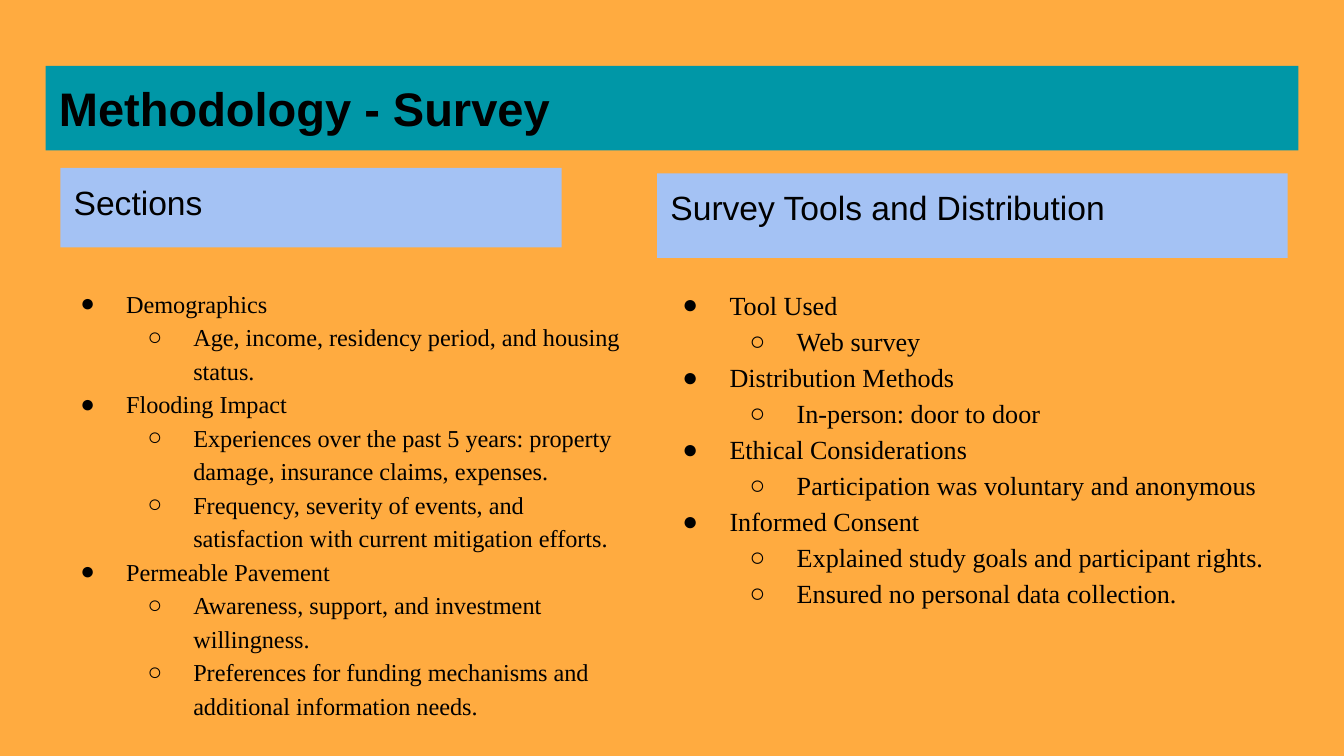
from lxml import etree
from pptx import Presentation
from pptx.dml.color import RGBColor
from pptx.enum.shapes import MSO_SHAPE
from pptx.enum.text import MSO_ANCHOR, PP_ALIGN
from pptx.oxml.ns import qn
from pptx.util import Inches, Pt

RECTANGLE = MSO_SHAPE.RECTANGLE
TOP = MSO_ANCHOR.TOP
LEFT = PP_ALIGN.LEFT

COLORS = {"background": "FFAB40", "title": "0097A7", "heading": "A4C2F4", "text": "000000"}
BULLETS = ["●", "○"]


def prepare_frame(shape):
    frame = shape.text_frame
    frame.word_wrap = True
    frame.vertical_anchor = TOP
    frame.margin_left = frame.margin_right = Inches(0.1)
    frame.margin_top = frame.margin_bottom = Inches(0.1)
    return frame


def style_paragraph(paragraph, font_name, size, bold=False):
    paragraph.alignment = LEFT
    for run in paragraph.runs:
        run.font.name = font_name
        run.font.size = Pt(size)
        run.font.bold = bold
        run.font.color.rgb = RGBColor.from_string(COLORS["text"])


presentation = Presentation()
presentation.slide_width = Inches(10)
presentation.slide_height = Inches(10 * 9 / 16)
slide = presentation.slides.add_slide(presentation.slide_layouts[6])
slide.background.fill.solid()
slide.background.fill.fore_color.rgb = RGBColor.from_string(COLORS["background"])

banners = [
    ("Methodology - Survey", (0.34, 0.49, 9.32, 0.63), "title", 25.2, True),
    ("Sections", (0.45, 1.25, 3.73, 0.59), "heading", 18, False),
    ("Survey Tools and Distribution", (4.89, 1.29, 4.69, 0.63), "heading", 18, False),
]
for wording, place, color, size, bold in banners:
    banner = slide.shapes.add_shape(RECTANGLE, *map(Inches, place))
    banner.shadow.inherit = False
    banner.fill.solid()
    banner.fill.fore_color.rgb = RGBColor.from_string(COLORS[color])
    banner.line.fill.background()
    frame = prepare_frame(banner)
    frame.text = wording
    style_paragraph(frame.paragraphs[0], "Arial", size, bold)

sections = [
    (0, "Demographics"),
    (1, "Age, income, residency period, and housing status."),
    (0, "Flooding Impact"),
    (1, "Experiences over the past 5 years: property damage, insurance claims, expenses."),
    (1, "Frequency, severity of events, and satisfaction with current mitigation efforts."),
    (0, "Permeable Pavement"),
    (1, "Awareness, support, and investment willingness."),
    (1, "Preferences for funding mechanisms and additional information needs."),
]
tools = [
    (0, "Tool Used"),
    (1, "Web survey"),
    (0, "Distribution Methods"),
    (1, "In-person: door to door"),
    (0, "Ethical Considerations"),
    (1, "Participation was voluntary and anonymous"),
    (0, "Informed Consent"),
    (1, "Explained study goals and participant rights."),
    (1, "Ensured no personal data collection."),
]
columns = [
    (sections, (0.34, 2.02, 4.43, 3.54), 13, 0.34),
    (tools, (4.83, 2.02, 4.83, 3.42), 14, 0.35),
]
for entries, place, size, hanging in columns:
    column = slide.shapes.add_textbox(*map(Inches, place))
    frame = prepare_frame(column)
    frame.text = "\n".join(wording for level, wording in entries)
    for paragraph, (level, wording) in zip(frame.paragraphs, entries):
        paragraph.level = level
        paragraph.line_spacing = 1.15
        style_paragraph(paragraph, "Times New Roman", size)
        properties = paragraph._p.get_or_add_pPr()
        properties.set("marL", str(Inches(0.5 * (level + 1))))
        properties.set("indent", str(-Inches(hanging)))
        bullet_color = etree.SubElement(properties, qn("a:buClr"))
        etree.SubElement(bullet_color, qn("a:srgbClr"), val=COLORS["text"])
        etree.SubElement(properties, qn("a:buFont"), typeface="Times New Roman")
        etree.SubElement(properties, qn("a:buChar"), char=BULLETS[level])

presentation.save("out.pptx")
